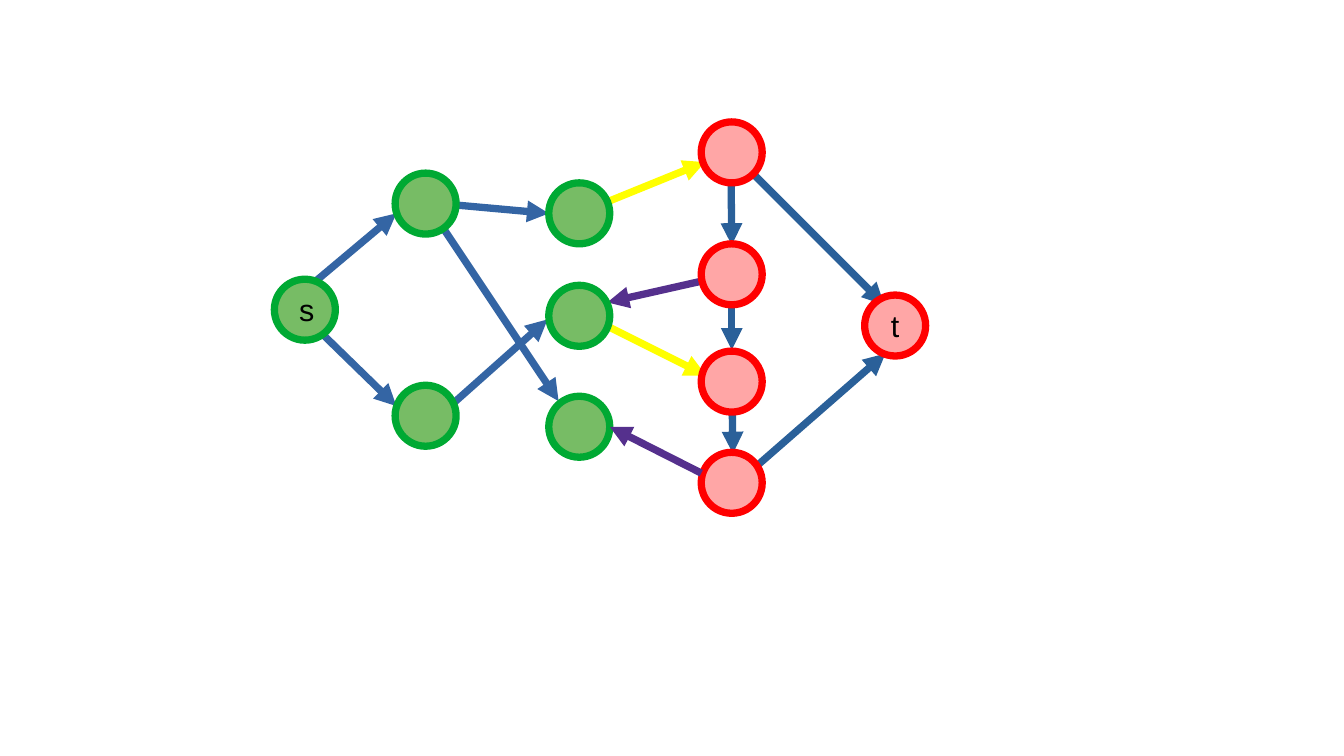
from dataclasses import dataclass

from lxml import etree
from pptx import Presentation
from pptx.dml.color import RGBColor
from pptx.enum.shapes import MSO_CONNECTOR, MSO_SHAPE
from pptx.enum.text import MSO_ANCHOR, PP_ALIGN
from pptx.oxml.ns import qn
from pptx.slide import Slide
from pptx.util import Inches, Length, Pt

LINE = MSO_CONNECTOR.STRAIGHT
OVAL = MSO_SHAPE.OVAL
MIDDLE = MSO_ANCHOR.MIDDLE
CENTER = PP_ALIGN.CENTER

CELL = 0.5
WIDTH = Pt(4.31)
COLORS = {
    "green": "77BC65",
    "green rim": "00A933",
    "red": "FFA6A6",
    "red rim": "FF0000",
    "blue": "3465A4",
    "navy": "2A6099",
    "yellow": "FFFF00",
    "purple": "55308D",
    "text": "000000",
}


@dataclass
class Node:
    col: float
    row: float
    side: str
    label: str = ""


@dataclass
class Edge:
    start: tuple[float, float]
    end: tuple[float, float]
    color: str


NODES = [
    Node(4.5, 4.58, "green", "s"),
    Node(6.48, 2.84, "green"),
    Node(6.48, 6.32, "green"),
    Node(9, 3, "green"),
    Node(9, 4.68, "green"),
    Node(9, 6.5, "green"),
    Node(11.5, 2, "red"),
    Node(11.5, 4, "red"),
    Node(11.5, 5.76, "red"),
    Node(11.5, 7.42, "red"),
    Node(14.18, 4.84, "red", "t"),
]

EDGES = [
    Edge((12, 4.5), (9.96, 4.96), "purple"),
    Edge((9.1, 3.66), (11.56, 2.66), "yellow"),
    Edge((12, 6.2), (12.02, 7.44), "navy"),
    Edge((12, 4.5), (12, 5.74), "navy"),
    Edge((9.58, 5.16), (11.58, 6.16), "yellow"),
    Edge((12, 8), (14.52, 5.8), "navy"),
    Edge((11.98, 2), (12, 4.02), "navy"),
    Edge((12, 2.5), (14.5, 5), "navy"),
    Edge((7.16, 3.58), (9.16, 6.58), "blue"),
    Edge((7, 7), (8.98, 5.24), "blue"),
    Edge((7, 3.32), (9, 3.5), "blue"),
    Edge((4.98, 5.18), (6.5, 6.66), "blue"),
    Edge((5, 4.76), (6.5, 3.5), "blue"),
]

BACK = Edge((11.5, 7.76), (10, 7), "purple")


def grid(count: float) -> Length:
    return Inches(count * CELL)


def paint(name: str) -> RGBColor:
    return RGBColor.from_string(COLORS[name])


def draw_edge(slide: Slide, edge: Edge) -> None:
    points = [grid(count) for count in edge.start + edge.end]
    arrow = slide.shapes.add_connector(LINE, *points)
    arrow.line.color.rgb = paint(edge.color)
    arrow.line.width = WIDTH
    props = arrow.line._get_or_add_ln()
    etree.SubElement(props, qn("a:tailEnd")).set("type", "triangle")
    etree.SubElement(arrow._element.spPr, qn("a:effectLst"))


def draw_node(slide: Slide, node: Node) -> None:
    disc = slide.shapes.add_shape(
        OVAL, grid(node.col), grid(node.row), grid(1), grid(1)
    )
    disc.shadow.inherit = False
    disc.fill.solid()
    disc.fill.fore_color.rgb = paint(node.side)
    disc.line.color.rgb = paint(f"{node.side} rim")
    disc.line.width = WIDTH
    if node.label:
        frame = disc.text_frame
        frame.text = node.label
        frame.vertical_anchor = MIDDLE
        frame.margin_left = frame.margin_right = Inches(0.13)
        frame.margin_top = frame.margin_bottom = Inches(0.08)
        line = frame.paragraphs[0]
        line.alignment = CENTER
        font = line.runs[0].font
        font.name = "Arial"
        font.size = Pt(18)
        font.color.rgb = paint("text")


def main() -> None:
    deck = Presentation()
    deck.slide_width = Inches(11.02)
    deck.slide_height = Inches(6.2)
    slide = deck.slides.add_slide(deck.slide_layouts[6])
    for edge in EDGES:
        draw_edge(slide, edge)
    for node in NODES:
        draw_node(slide, node)
    draw_edge(slide, BACK)
    deck.save("out.pptx")


if __name__ == "__main__":
    main()
